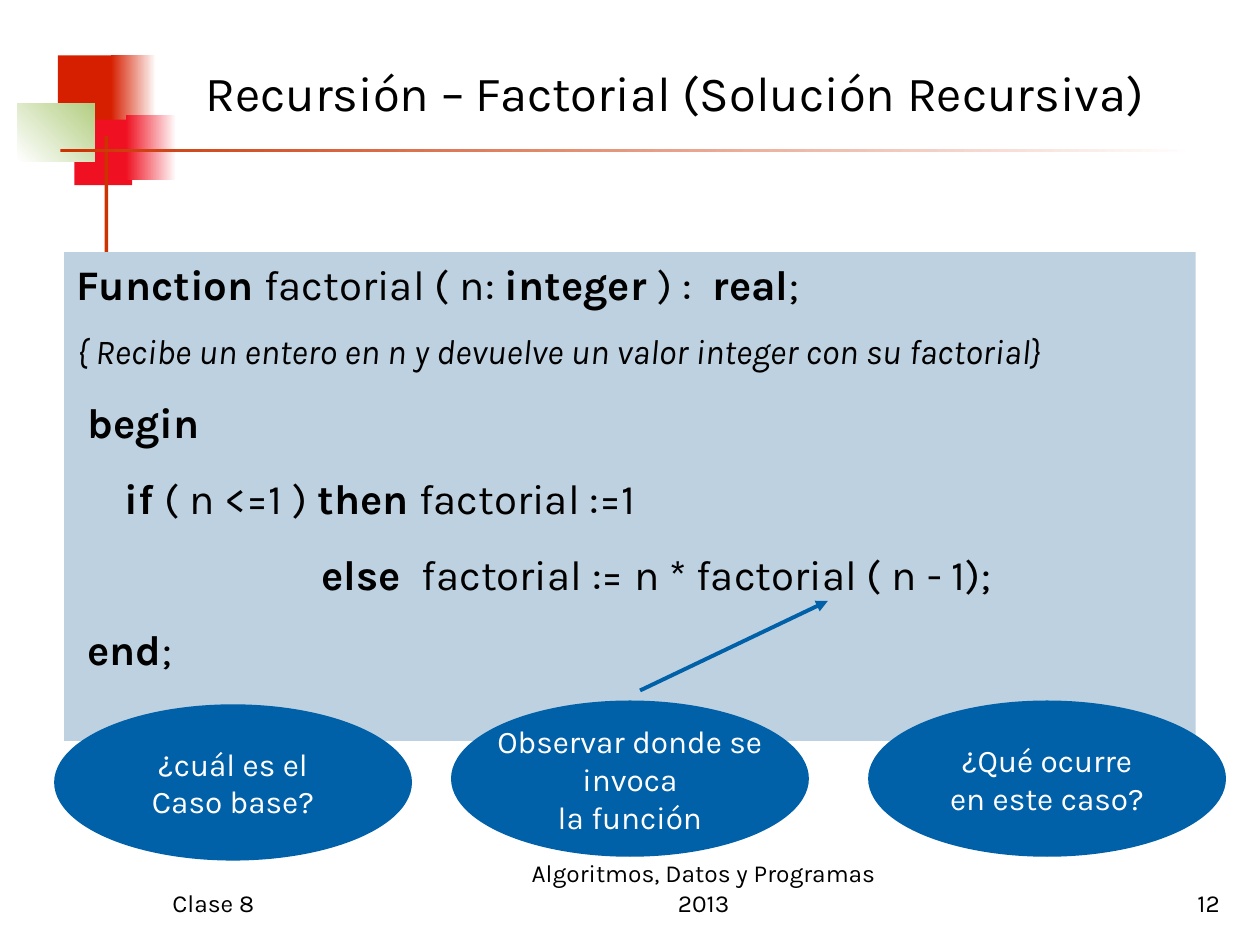
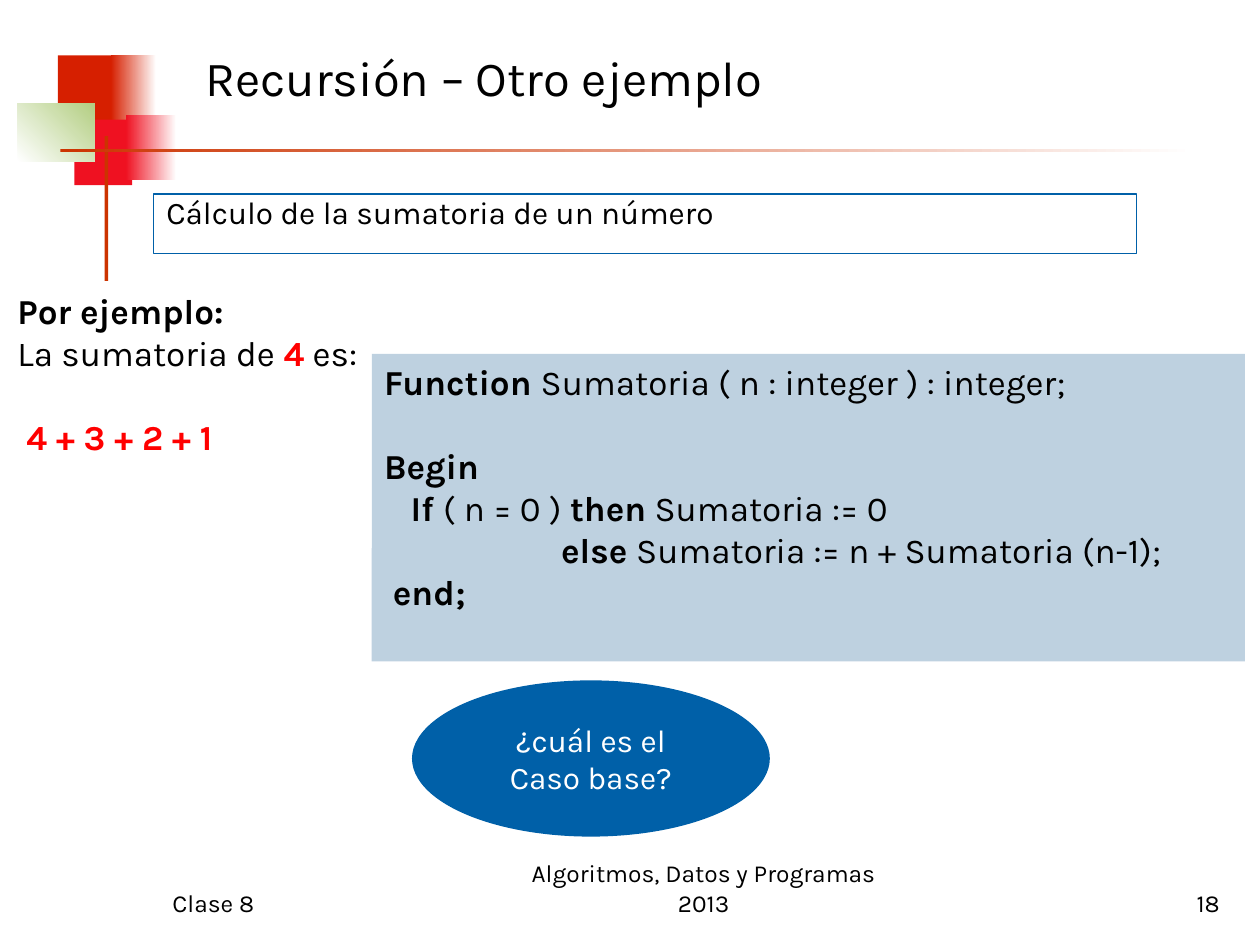
from dataclasses import dataclass
from typing import Optional

from lxml import etree
from pptx import Presentation
from pptx.dml.color import RGBColor
from pptx.enum.shapes import MSO_CONNECTOR, MSO_SHAPE
from pptx.enum.text import MSO_ANCHOR, MSO_AUTO_SIZE, PP_ALIGN
from pptx.oxml.ns import qn
from pptx.util import Inches, Pt

RECTANGLE, OVAL = MSO_SHAPE.RECTANGLE, MSO_SHAPE.OVAL
STRAIGHT = MSO_CONNECTOR.STRAIGHT
TOP, MIDDLE, BOTTOM = MSO_ANCHOR.TOP, MSO_ANCHOR.MIDDLE, MSO_ANCHOR.BOTTOM
LEFT, CENTER, RIGHT = PP_ALIGN.LEFT, PP_ALIGN.CENTER, PP_ALIGN.RIGHT
NO_AUTOFIT = MSO_AUTO_SIZE.NONE

FONT = "Karla"
BLACK, WHITE, BLUE, CODE_BLUE = "000000", "FFFFFF", "0060A8", "BED1E0"
DARK_RED, BRIGHT_RED, RUST, GREEN = "D61F00", "EF1121", "CC3300", "B3CE82"
HIGHLIGHT = "FF0000"
TITLE_AND_CONTENT = 1
HANGING = 0.38


@dataclass(frozen=True)
class Box:
    left: float
    top: float
    width: float
    height: float

    def lengths(self) -> tuple:
        return tuple(Inches(value) for value in
                     (self.left, self.top, self.width, self.height))


@dataclass(frozen=True)
class Run:
    text: str
    bold: bool = False
    italic: bool = False
    color: str = BLACK


@dataclass(frozen=True)
class Line:
    runs: tuple
    size: float
    space_before: float = 0


@dataclass(frozen=True)
class Block:
    """A rectangle of the master decoration, plain or fading to a second colour."""
    box: Box
    color: str
    fade_to: Optional[str] = None
    angle: float = 0


@dataclass(frozen=True)
class Footer:
    box: Box
    align: PP_ALIGN


DECORATION = (
    Block(Box(0.46, 0.44, 0.48, 0.52), DARK_RED),
    Block(Box(0.88, 0.44, 0.36, 0.52), DARK_RED, WHITE),
    Block(Box(0.59, 0.95, 0.46, 0.52), BRIGHT_RED),
    Block(Box(1, 0.91, 0.4, 0.52), BRIGHT_RED, WHITE),
    Block(Box(0.14, 0.82, 0.61, 0.46), WHITE, GREEN, 45),
    Block(Box(0.83, 1.08, 0.03, 1.15), RUST),
    Block(Box(0.48, 1.18, 9, 0.03), RUST, WHITE),
)
CLASS_FOOTER = Footer(Box(1.27, 6.83, 2.08, 0.5), LEFT)
COURSE_FOOTER = Footer(Box(4, 6.83, 3.17, 0.5), CENTER)
NUMBER_FOOTER = Footer(Box(7.7, 6.83, 2.08, 0.5), RIGHT)

FACTORIAL_CODE = (
    Line((Run("Function ", True), Run("factorial ( n: "), Run("integer ", True),
          Run(") : "), Run(" real", True), Run(";")), 24),
    Line((Run("{ Recibe un entero en n y devuelve un valor integer con su factorial}",
              italic=True),), 20, 12),
    Line((Run(" begin", True),), 24, 14.4),
    Line((Run("\t"), Run("if ", True), Run("( n <=1 ) "), Run("then ", True),
          Run("factorial :=1")), 24, 14.4),
    Line((Run("                       else  ", True),
          Run("factorial := n * factorial ( n - 1);")), 24, 14.4),
    Line((Run(" end", True), Run(";")), 24, 14.4),
)
SUMATORIA_CODE = (
    Line((Run("Function ", True), Run("Sumatoria ( n : integer ) : integer;")), 20),
    Line((Run("Begin", True),), 20, 24),
    Line((Run("   If ", True), Run("( n = 0 ) "), Run("then", True),
          Run(" Sumatoria := 0")), 20),
    Line((Run("                    else", True),
          Run(" Sumatoria := n + Sumatoria (n-1);")), 20),
    Line((Run(" end;", True),), 20),
)
EXAMPLE = (
    Line((Run("Por ejemplo:", True),), 20),
    Line((Run("La sumatoria de "), Run("4", True, color=HIGHLIGHT), Run(" es:")), 20),
    Line((Run(" 4 + 3 + 2 + 1", True, color=HIGHLIGHT),), 20, 24),
)
BASE_CASE = ("¿cuál es el", "Caso base?")


def rgb(color: str) -> RGBColor:
    return RGBColor.from_string(color)


def fill_solid(shape, color: str) -> None:
    shape.fill.solid()
    shape.fill.fore_color.rgb = rgb(color)


def place(shape, box: Box) -> None:
    shape.left, shape.top, shape.width, shape.height = box.lengths()


def write(shape, lines: tuple, align=LEFT, anchor=TOP, wrap: bool = True) -> None:
    frame = shape.text_frame
    frame.auto_size = NO_AUTOFIT
    frame.word_wrap = wrap
    frame.vertical_anchor = anchor
    for index, line in enumerate(lines):
        paragraph = frame.paragraphs[0] if index == 0 else frame.add_paragraph()
        paragraph.alignment = align
        paragraph.space_before = Pt(line.space_before)
        for part in line.runs:
            run = paragraph.add_run()
            run.text = part.text
            run.font.name = FONT
            run.font.size = Pt(line.size)
            run.font.bold = part.bold
            run.font.italic = part.italic
            run.font.color.rgb = rgb(part.color)


def add_plain_shape(slide, kind, box: Box, color: str):
    shape = slide.shapes.add_shape(kind, *box.lengths())
    shape.shadow.inherit = False
    shape.line.fill.background()
    fill_solid(shape, color)
    return shape


def add_decoration(slide) -> None:
    for block in DECORATION:
        shape = add_plain_shape(slide, RECTANGLE, block.box, block.color)
        if block.fade_to:
            shape.fill.gradient()
            shape.fill.gradient_angle = block.angle
            for stop, color in zip(shape.fill.gradient_stops,
                                   (block.color, block.fade_to)):
                stop.color.rgb = rgb(color)


def add_footer(slide, footer: Footer, text: str) -> None:
    text_box = slide.shapes.add_textbox(*footer.box.lengths())
    write(text_box, (Line((Run(text),), 14),), footer.align, BOTTOM)


def add_lesson_slide(presentation, title: str, title_top: float, number: int):
    """Add a slide with its title, decoration and footers."""
    slide = presentation.slides.add_slide(
        presentation.slide_layouts[TITLE_AND_CONTENT])
    add_decoration(slide)
    for placeholder in list(slide.placeholders):
        slide.shapes.element.append(placeholder.element)
    place(slide.shapes.title, Box(1.53, title_top, 7.95, 0.84))
    write(slide.shapes.title, (Line((Run(title),), 28),), anchor=MIDDLE)
    add_footer(slide, CLASS_FOOTER, "Clase 8")
    add_footer(slide, COURSE_FOOTER, "Algoritmos, Datos y Programas 2013")
    add_footer(slide, NUMBER_FOOTER, str(number))
    return slide


def fill_body(slide, box: Box, lines: tuple):
    """Place the body and write its lines with a hanging indent and no bullets."""
    body = slide.placeholders[1]
    place(body, box)
    write(body, lines)
    for paragraph in body.text_frame.paragraphs:
        properties = paragraph._p.get_or_add_pPr()
        properties.set("marL", str(Inches(HANGING)))
        properties.set("indent", str(-Inches(HANGING)))
        etree.SubElement(properties, qn("a:buNone"))
    return body


def add_question(slide, left: float, top: float, texts: tuple) -> None:
    oval = add_plain_shape(slide, OVAL, Box(left, top, 2.84, 1.24), BLUE)
    lines = tuple(Line((Run(text, color=WHITE),), 18) for text in texts)
    write(oval, lines, CENTER, MIDDLE, wrap=False)


def add_arrow(slide, start: tuple, end: tuple) -> None:
    arrow = slide.shapes.add_connector(
        STRAIGHT, *(Inches(value) for value in start + end))
    arrow.line.color.rgb = rgb(BLUE)
    arrow.line.width = Pt(2.25)
    etree.SubElement(arrow.line._get_or_add_ln(), qn("a:tailEnd"), type="triangle")
    etree.SubElement(arrow.element.spPr, qn("a:effectLst"))


def build_factorial_slide(presentation) -> None:
    slide = add_lesson_slide(
        presentation, "Recursión – Factorial (Solución Recursiva)", 0.31, 12)
    body = fill_body(slide, Box(0.51, 2, 8.98, 3.88), FACTORIAL_CODE)
    fill_solid(body, CODE_BLUE)
    add_question(slide, 3.58, 5.56, ("Observar donde se", "invoca", "la función"))
    add_arrow(slide, (5.08, 5.48), (6.57, 4.77))
    add_question(slide, 6.89, 5.56, ("¿Qué ocurre", "en este caso?"))
    add_question(slide, 0.43, 5.59, BASE_CASE)


def build_sumatoria_slide(presentation) -> None:
    slide = add_lesson_slide(presentation, "Recursión – Otro ejemplo", 0.19, 18)
    statement = Line((Run("Cálculo de la sumatoria de un número"),), 18)
    body = fill_body(slide, Box(1.22, 1.54, 7.8, 0.47), (statement,))
    body.text_frame.paragraphs[0].line_spacing = 0.8
    body.line.color.rgb = rgb(BLUE)
    body.line.width = Pt(0.75)
    code = add_plain_shape(slide, RECTANGLE, Box(2.95, 2.81, 6.93, 2.44), CODE_BLUE)
    write(code, SUMATORIA_CODE)
    add_question(slide, 3.27, 5.4, BASE_CASE)
    example = add_plain_shape(slide, RECTANGLE, Box(0.04, 2.25, 2.91, 2.1), WHITE)
    write(example, EXAMPLE)


def main() -> None:
    presentation = Presentation()
    presentation.slide_width = Inches(10)
    presentation.slide_height = Inches(7.5)
    build_factorial_slide(presentation)
    build_sumatoria_slide(presentation)
    presentation.save("out.pptx")


if __name__ == "__main__":
    main()
